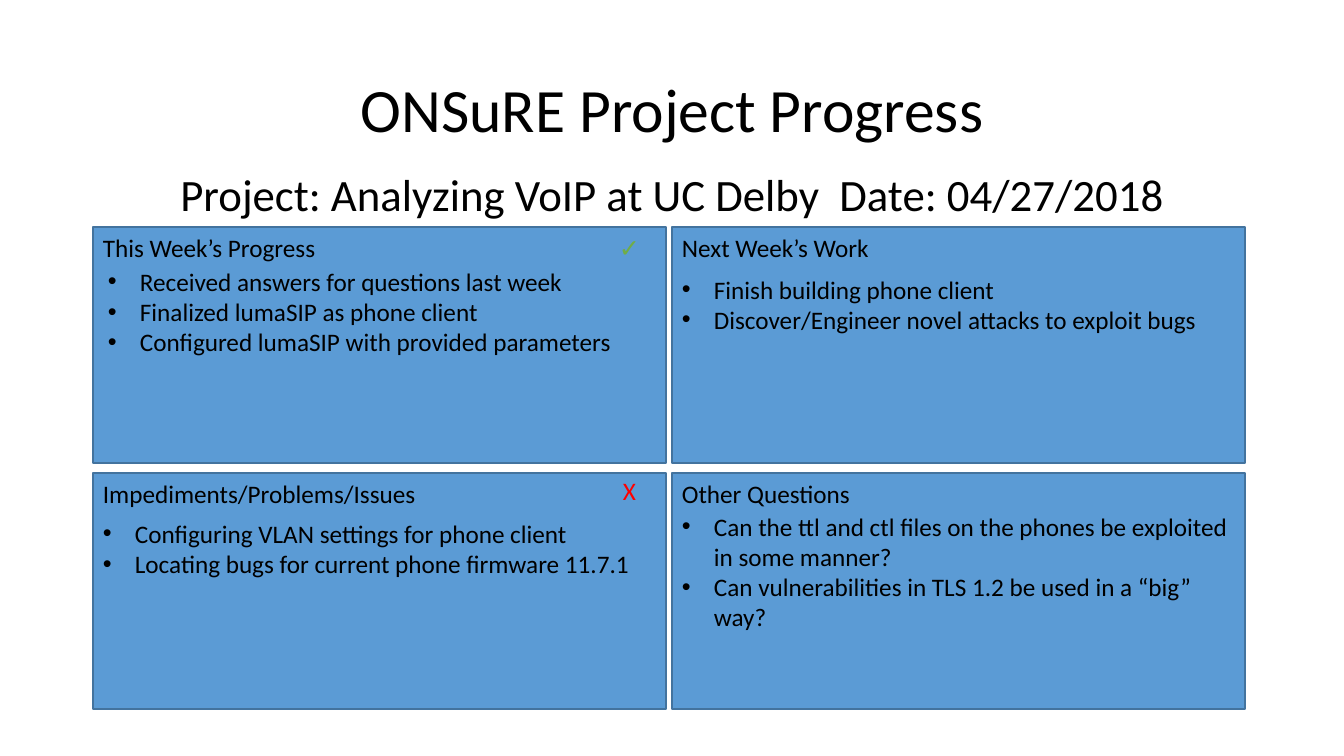
import pptx
import pptx.util
import pptx.dml.color
import pptx.enum.shapes
import pptx.enum.text
import lxml.etree
from dataclasses import dataclass

SCALE = 914400 / 100.8  # EMU in one pixel
ALIGN = pptx.enum.text.PP_ALIGN
ANCHOR = pptx.enum.text.MSO_ANCHOR


@dataclass(frozen=True)
class Theme:
    font: str = "Calibri"
    ink: str = "000000"
    panel: str = "5B9BD5"
    edge: str = "43739E"
    good: str = "70AD47"
    bad: str = "FF0000"
    title: int = 44
    sub: int = 32
    body: int = 18


THEME = Theme()

# Grid of panels
LEFT, TOP = 93, 227
WIDE, HIGH = 573, 236
STEP_X, STEP_Y = 579, 246
INDENT = 32

# Heading, list offset in the panel, list items, mark (text, colour, offset)
PANELS = [
    ("This Week’s Progress", (5, 34),
     ["Received answers for questions last week",
      "Finalized lumaSIP as phone client",
      "Configured lumaSIP with provided parameters"],
     ("✓", THEME.good, 0)),
    ("Next Week’s Work", (0, 42),
     ["Finish building phone client",
      "Discover/Engineer novel attacks to exploit bugs"],
     None),
    ("Impediments/Problems/Issues", (0, 40),
     ["Configuring VLAN settings for phone client",
      "Locating bugs for current phone firmware 11.7.1"],
     ("X", THEME.bad, -3)),
    ("Other Questions", (0, 33),
     ["Can the ttl and ctl files on the phones be exploited in some manner?",
      "Can vulnerabilities in TLS 1.2 be used in a “big” way?"],
     None),
]


def px(num):
    return pptx.util.Emu(round(num * SCALE))


def paint(hue):
    return pptx.dml.color.RGBColor.from_string(hue)


def bullet(para):
    props = para._p.get_or_add_pPr()
    props.set("marL", str(px(INDENT)))
    props.set("indent", str(px(-INDENT)))
    tag = pptx.oxml.ns.qn
    lxml.etree.SubElement(props, tag("a:buFont")).set("typeface", "Arial")
    lxml.etree.SubElement(props, tag("a:buChar")).set("char", "•")


def add_text(slide, lines, box, size=THEME.body, hue=THEME.ink,
             align=ALIGN.LEFT, anchor=ANCHOR.TOP, space=None, dots=False):
    frame = slide.shapes.add_textbox(*map(px, box)).text_frame
    frame.word_wrap = True
    frame.vertical_anchor = anchor
    frame.text = "\n".join(lines)
    for para in frame.paragraphs:
        para.alignment = align
        if space:
            para.line_spacing = space
        if dots:
            bullet(para)
        font = para.runs[0].font
        font.name = THEME.font
        font.size = pptx.util.Pt(size)
        font.color.rgb = paint(hue)


def add_panel(slide, x, y):
    kind = pptx.enum.shapes.MSO_SHAPE.RECTANGLE
    shape = slide.shapes.add_shape(kind, *map(px, (x, y, WIDE, HIGH)))
    shape.shadow.inherit = False
    shape.fill.solid()
    shape.fill.fore_color.rgb = paint(THEME.panel)
    shape.line.color.rgb = paint(THEME.edge)
    shape.line.width = pptx.util.Pt(1)


def main():
    deck = pptx.Presentation()
    deck.slide_width, deck.slide_height = px(1344), px(756)
    slide = deck.slides.add_slide(deck.slide_layouts[6])

    # Title and project line
    for text, y, size in (
        ("ONSuRE Project Progress", 40, THEME.title),
        ("Project: Analyzing VoIP at UC Delby  Date: 04/27/2018", 124, THEME.sub),
    ):
        add_text(slide, [text], (LEFT, y, 1159, 146), size=size,
                 align=ALIGN.CENTER, anchor=ANCHOR.MIDDLE, space=0.9)

    # Four panels, two in a row
    for i, (head, shift, items, mark) in enumerate(PANELS):
        row, col = divmod(i, 2)
        x, y = LEFT + col * STEP_X, TOP + row * STEP_Y
        add_panel(slide, x, y)
        add_text(slide, [head], (x, y, WIDE, 40))
        box = (x + shift[0], y + shift[1], WIDE, 10 + 30 * len(items))
        add_text(slide, items, box, dots=True)
        if mark:
            sign, hue, drop = mark
            add_text(slide, [sign], (x + 500, y + drop, 73, 40), hue=hue,
                     align=ALIGN.CENTER)

    deck.save("out.pptx")


main()
